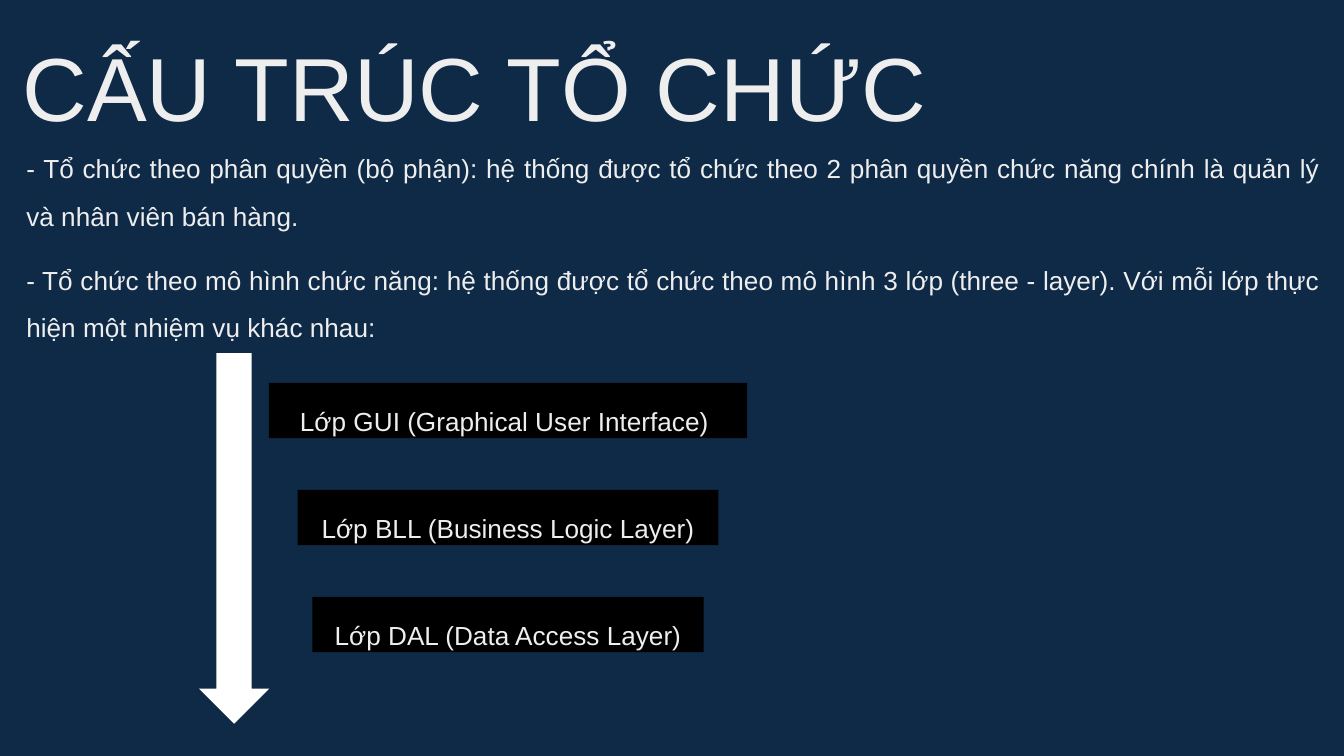
"""Builds the slide on the system's organisational structure and its three layers."""
from pptx import Presentation
from pptx.dml.color import RGBColor
from pptx.enum.shapes import MSO_SHAPE
from pptx.enum.text import MSO_ANCHOR, MSO_AUTO_SIZE, PP_ALIGN
from pptx.util import Pt

NAVY = RGBColor(0x0E, 0x2A, 0x47)
PALE = RGBColor(0xEE, 0xEE, 0xEE)
WHITE = RGBColor(0xFF, 0xFF, 0xFF)
BLACK = RGBColor(0x00, 0x00, 0x00)

TITLE = "CẤU TRÚC TỔ CHỨC"
STATEMENTS = [
    "- Tổ chức theo phân quyền (bộ phận): hệ thống được tổ chức theo 2 phân quyền "
    "chức năng chính là quản lý và nhân viên bán hàng.",
    "- Tổ chức theo mô hình chức năng: hệ thống được tổ chức theo mô hình 3 lớp "
    "(three - layer). Với mỗi lớp thực hiện một nhiệm vụ khác nhau:",
]
LAYERS = [
    ("Lớp GUI (Graphical User Interface) ", 256.3),
    ("Lớp BLL (Business Logic Layer)", 225.4),
    ("Lớp DAL (Data Access Layer)", 209.6),
]
LAYER_CENTRE = 272.2
TITLE_FRAME = {"margin_top": Pt(7.2)}
BODY_FRAME = {"auto_size": MSO_AUTO_SIZE.SHAPE_TO_FIT_TEXT}


def apply_format(target, values):
    for name, value in values.items():
        setattr(target, name, value)


def write(holder, wording, size, frame_format, paragraph_format):
    frame = holder.text_frame
    apply_format(frame, {"word_wrap": True, "vertical_anchor": MSO_ANCHOR.TOP, **frame_format})
    paragraph = frame.paragraphs[0]
    apply_format(paragraph, paragraph_format)
    run = paragraph.add_run()
    run.text = wording
    apply_format(run.font, {"name": "Arial", "size": Pt(size)})
    run.font.color.rgb = PALE


def add_text(slide, bounds, wording, size, frame_format, paragraph_format):
    holder = slide.shapes.add_textbox(*map(Pt, bounds))
    write(holder, wording, size, frame_format, paragraph_format)


def add_solid(slide, preset, bounds, colour):
    solid = slide.shapes.add_shape(preset, *map(Pt, bounds))
    solid.shadow.inherit = False
    solid.fill.solid()
    solid.fill.fore_color.rgb = colour
    solid.line.fill.background()
    return solid


def add_layer(slide, top, wording, width):
    bounds = (LAYER_CENTRE - width / 2, top, width, 29.6)
    layer = add_solid(slide, MSO_SHAPE.RECTANGLE, bounds, BLACK)
    write(layer, wording, 14, BODY_FRAME, {"alignment": PP_ALIGN.CENTER, "line_spacing": 1.5})


def main():
    deck = Presentation()
    apply_format(deck, {"slide_width": Pt(720), "slide_height": Pt(405)})
    slide = deck.slides.add_slide(deck.slide_layouts[6])
    slide.background.fill.solid()
    slide.background.fill.fore_color.rgb = NAVY

    add_solid(slide, MSO_SHAPE.DOWN_ARROW, (106.6, 189.2, 37.6, 198.5), WHITE)
    add_text(slide, (5, 10, 715, 60.5), TITLE, 48, TITLE_FRAME, {"alignment": PP_ALIGN.LEFT})
    for row, statement in enumerate(STATEMENTS):
        add_text(slide, (7, 70 + 59.5 * row, 707.6, 55.4), statement, 14, BODY_FRAME,
                 {"alignment": PP_ALIGN.JUSTIFY, "line_spacing": 1.5})
    for row, (wording, width) in enumerate(LAYERS):
        add_layer(slide, 205.2 + 57.3 * row, wording, width)

    deck.save("out.pptx")


if __name__ == "__main__":
    main()
